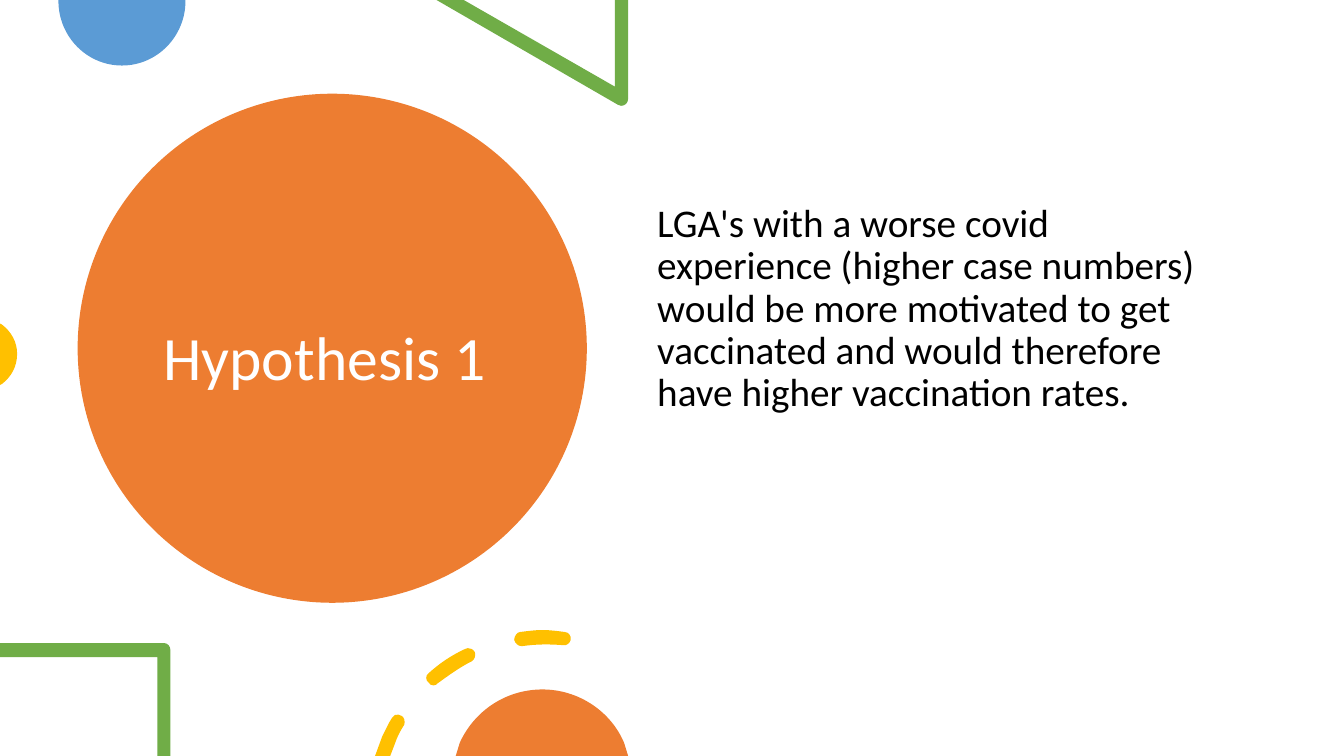
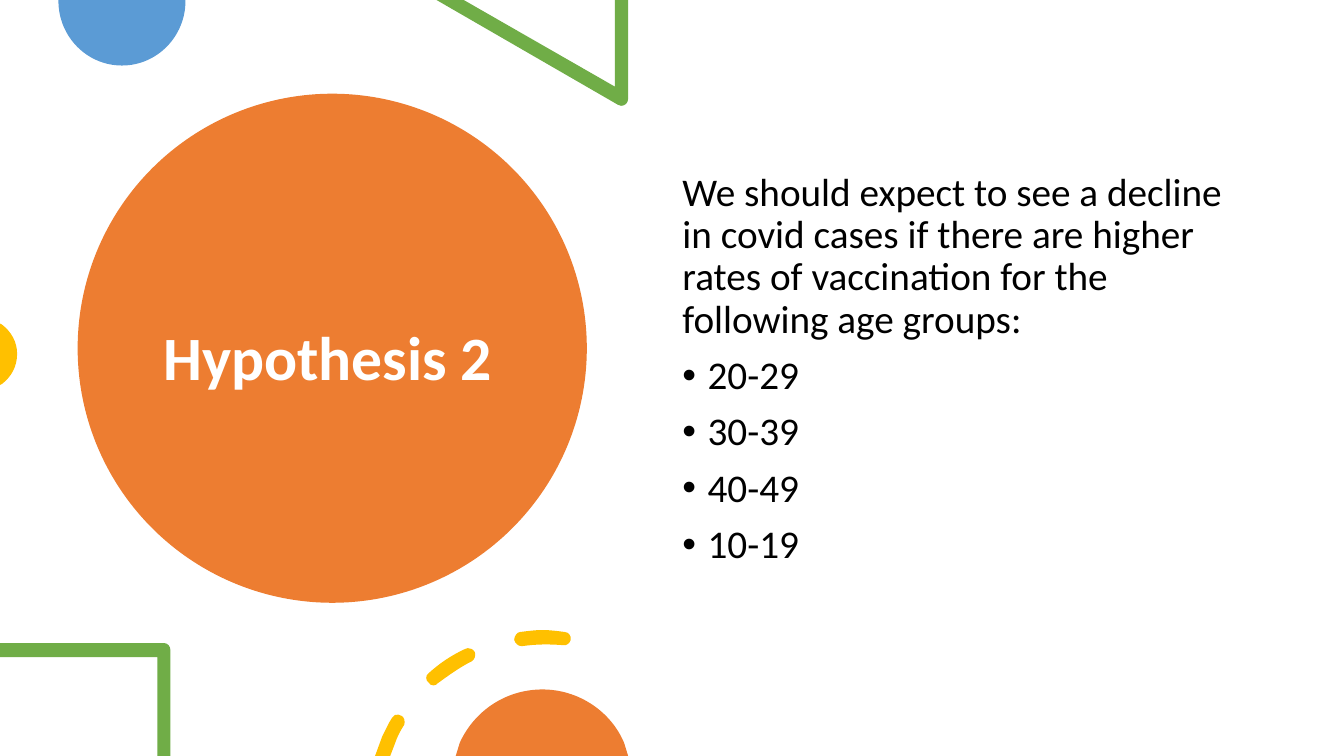
from lxml import etree
from pptx import Presentation
from pptx.dml.color import RGBColor
from pptx.enum.shapes import MSO_SHAPE
from pptx.enum.text import MSO_ANCHOR, MSO_AUTO_SIZE, PP_ALIGN
from pptx.oxml.ns import qn
from pptx.util import Inches, Pt

OVAL = MSO_SHAPE.OVAL
MIDDLE, TOP = MSO_ANCHOR.MIDDLE, MSO_ANCHOR.TOP
NO_AUTOFIT = MSO_AUTO_SIZE.NONE
LEFT = PP_ALIGN.LEFT

# Shared style
FONT = "Calibri"
ORANGE, BLUE, GREEN, YELLOW = "ED7D31", "5B9BD5", "70AD47", "FFC000"
WHITE, BLACK = "FFFFFF", "000000"
TITLE_SIZE, BODY_SIZE = 44, 28
TITLE_CIRCLE = (0.77, 0.93, 5.05, 5.05)
TITLE_BOX = (1.52, 1.35, 3.54, 4.45)
BULLET_INDENT = 0.25

# Slide content
HYPOTHESES = [
    {
        "title": "Hypothesis 1",
        "bold": False,
        "box": (6.42, 1.97, 5.85, 2.97),
        "statement": "LGA's with a worse covid experience (higher case numbers) "
                     "would be more motivated to get vaccinated and would "
                     "therefore have higher vaccination rates.",
        "age_groups": [],
    },
    {
        "title": "Hypothesis 2",
        "bold": True,
        "box": (6.67, 1.66, 5.75, 4.32),
        "statement": "We should expect to see a decline in covid cases if there "
                     "are higher rates of vaccination for the following age groups:",
        "age_groups": ["20-29", "30-39", "40-49", "10-19"],
    },
]

# Decorations in inches: each outline is a start point followed by
# line ends (x, y) or Bezier curves (x1, y1, x2, y2, x, y)
BLUE_DISC = [(1.84, 0), (0.58, 0), (0.58, 0.01),
             (0.58, 0.36, 0.86, 0.65, 1.21, 0.65),
             (1.56, 0.65, 1.84, 0.36, 1.84, 0.01)]
TRIANGLE = [(6.23, 0), (6.1, 0), (6.1, 0.86), (4.6, 0), (4.33, 0), (6.13, 1.04),
            (6.14, 1.05, 6.15, 1.05, 6.16, 1.05),
            (6.2, 1.05, 6.23, 1.02, 6.23, 0.98)]
YELLOW_DISC = [(0, 3.21), (0, 3.82), (0.02, 3.81),
               (0.11, 3.74, 0.17, 3.64, 0.17, 3.51),
               (0.17, 3.39, 0.11, 3.29, 0.02, 3.22)]
SQUARE = [(1.63, 6.38), (0, 6.38), (0, 6.52), (1.56, 6.52), (1.56, 7.5),
          (1.69, 7.5), (1.69, 6.45), (1.69, 6.41, 1.66, 6.38, 1.63, 6.38)]
LOW_DASH = [(3.95, 7.09), (3.93, 7.08, 3.9, 7.1, 3.89, 7.12),
            (3.85, 7.18, 3.82, 7.25, 3.79, 7.31), (3.72, 7.5), (3.87, 7.5),
            (3.92, 7.37), (3.94, 7.31, 3.97, 7.25, 4.01, 7.19),
            (4.02, 7.16, 4.01, 7.11, 3.98, 7.1),
            (3.97, 7.09, 3.96, 7.09, 3.95, 7.09)]
MIDDLE_DASH = [(4.64, 6.43), (4.63, 6.43, 4.62, 6.43, 4.61, 6.44),
               (4.48, 6.5, 4.36, 6.58, 4.25, 6.68),
               (4.22, 6.7, 4.22, 6.75, 4.25, 6.77),
               (4.26, 6.79, 4.28, 6.8, 4.3, 6.8), (4.3, 6.8),
               (4.32, 6.8, 4.33, 6.79, 4.34, 6.78),
               (4.45, 6.7, 4.56, 6.62, 4.68, 6.56),
               (4.71, 6.54, 4.72, 6.5, 4.71, 6.47),
               (4.69, 6.44, 4.67, 6.43, 4.64, 6.43)]
TOP_DASH = [(5.38, 6.25), (5.31, 6.25, 5.24, 6.26, 5.16, 6.27),
            (5.13, 6.27, 5.1, 6.31, 5.1, 6.35),
            (5.11, 6.38, 5.14, 6.41, 5.17, 6.41),
            (5.18, 6.41, 5.18, 6.41, 5.18, 6.41),
            (5.32, 6.39, 5.45, 6.39, 5.58, 6.4),
            (5.62, 6.41, 5.65, 6.38, 5.66, 6.35),
            (5.67, 6.31, 5.64, 6.27, 5.6, 6.27),
            (5.6, 6.27, 5.6, 6.27, 5.6, 6.27),
            (5.53, 6.26, 5.45, 6.25, 5.38, 6.25)]
ORANGE_DISC = [(5.38, 6.84), (5.01, 6.84, 4.7, 7.06, 4.56, 7.37), (4.52, 7.5),
               (6.23, 7.5), (6.19, 7.37), (6.06, 7.06, 5.74, 6.84, 5.38, 6.84)]
UPPER_DECORATIONS = [
    (BLUE, [BLUE_DISC]),
    (GREEN, [TRIANGLE]),
    (YELLOW, [YELLOW_DISC]),
]
LOWER_DECORATIONS = [
    (GREEN, [SQUARE]),
    (YELLOW, [LOW_DASH, MIDDLE_DASH, TOP_DASH]),
    (ORANGE, [ORANGE_DISC]),
]


def rgb(value):
    return RGBColor.from_string(value)


def inches(values):
    return [Inches(value) for value in values]


def paint(shape, color):
    shape.shadow.inherit = False
    shape.fill.solid()
    shape.fill.fore_color.rgb = rgb(color)
    shape.line.fill.background()


def bend(shape, segments):
    """Turn the straight segments that stand for curves into Bezier curves."""
    straight = list(shape.element.iter(qn("a:lnTo")))
    for line, segment in zip(straight, segments):
        if len(segment) == 2:
            continue
        curve = etree.Element(qn("a:cubicBezTo"))
        for x, y in zip(segment[::2], segment[1::2]):
            etree.SubElement(curve, qn("a:pt"), x=str(Inches(x) - shape.left),
                             y=str(Inches(y) - shape.top))
        line.getparent().replace(line, curve)


def add_decorations(slide, decorations):
    for color, outlines in decorations:
        builder = slide.shapes.build_freeform(*inches(outlines[0][0]))
        for index, (start, *segments) in enumerate(outlines):
            if index:
                builder.move_to(*inches(start))
            builder.add_line_segments([inches(segment[-2:]) for segment in segments])
        shape = builder.convert_to_shape()
        bend(shape, [segment for outline in outlines for segment in outline[1:]])
        paint(shape, color)


def style_frame(frame, anchor):
    frame.word_wrap = True
    frame.auto_size = NO_AUTOFIT
    frame.vertical_anchor = anchor


def style_paragraph(paragraph, size, color, bold=False):
    paragraph.alignment = LEFT
    paragraph.line_spacing = 0.9
    font = paragraph.font
    font.name, font.size, font.bold = FONT, Pt(size), bold
    font.color.rgb = rgb(color)


def add_bullet(paragraph):
    properties = paragraph._p.get_or_add_pPr()
    properties.set("marL", str(Inches(BULLET_INDENT)))
    properties.set("indent", str(-Inches(BULLET_INDENT)))
    etree.SubElement(properties, qn("a:buFont"), typeface="Arial")
    etree.SubElement(properties, qn("a:buChar"), char="•")


def add_title(slide, text, bold):
    title = slide.shapes.title
    title.left, title.top, title.width, title.height = inches(TITLE_BOX)
    title.text_frame.text = text
    style_frame(title.text_frame, MIDDLE)
    style_paragraph(title.text_frame.paragraphs[0], TITLE_SIZE, WHITE, bold)
    # The circle goes behind the title
    circle = slide.shapes.add_shape(OVAL, *inches(TITLE_CIRCLE))
    paint(circle, ORANGE)
    title.element.addprevious(circle.element)


def add_body(slide, box, statement, age_groups):
    frame = slide.shapes.add_textbox(*inches(box)).text_frame
    style_frame(frame, TOP)
    frame.text = "\n".join([statement, *age_groups])
    for index, paragraph in enumerate(frame.paragraphs):
        if index:
            add_bullet(paragraph)
        paragraph.space_before = Pt(10)
        style_paragraph(paragraph, BODY_SIZE, BLACK)


def main():
    deck = Presentation()
    deck.slide_width, deck.slide_height = Inches(13.33), Inches(7.5)
    title_only = deck.slide_layouts[5]
    for hypothesis in HYPOTHESES:
        slide = deck.slides.add_slide(title_only)
        add_title(slide, hypothesis["title"], hypothesis["bold"])
        add_decorations(slide, UPPER_DECORATIONS)
        add_body(slide, hypothesis["box"], hypothesis["statement"],
                 hypothesis["age_groups"])
        add_decorations(slide, LOWER_DECORATIONS)
    deck.save("out.pptx")


if __name__ == "__main__":
    main()
